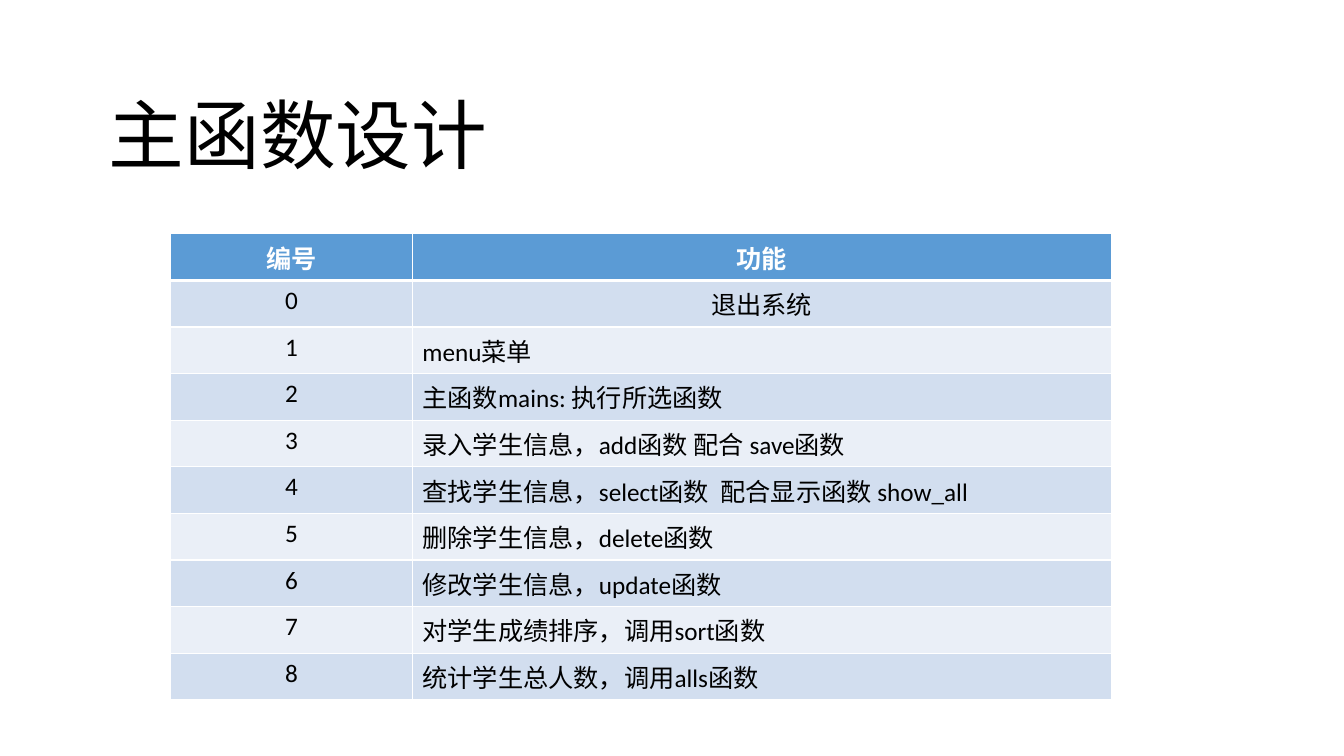
"""Build the slide that lists the functions of the main program."""
import pptx
import pptx.dml.color
import pptx.enum.text
import pptx.oxml
import pptx.oxml.ns
import pptx.util

WIDTH, HEIGHT = 13.33, 7.5
FONT = "Calibri"
HEADER_FILL = "5B9BD5"
BAND_FILLS = ("D2DEEF", "EAEFF7")
COLUMN_WIDTHS = (2.4, 6.93)
ROW_HEIGHT = 0.46
HEADINGS = ("编号", "功能")
FUNCTIONS = (
    "退出系统",
    "menu菜单",
    "主函数mains: 执行所选函数",
    "录入学生信息，add函数 配合 save函数",
    "查找学生信息，select函数  配合显示函数 show_all",
    "删除学生信息，delete函数",
    "修改学生信息，update函数",
    "对学生成绩排序，调用sort函数",
    "统计学生总人数，调用alls函数",
)


def rgb(value):
    """Turn a hex string into a colour."""
    return pptx.dml.color.RGBColor.from_string(value)


def place(sp, left, top, width, height):
    """Position a shape by shares of the slide's size."""
    sp.left = pptx.util.Inches(left * WIDTH)
    sp.top = pptx.util.Inches(top * HEIGHT)
    sp.width = pptx.util.Inches(width * WIDTH)
    sp.height = pptx.util.Inches(height * HEIGHT)


def write(tf, text, size, color, align, bold=False):
    """Put one formatted paragraph into a text frame."""
    p = tf.paragraphs[0]
    p.text = text
    p.alignment = align
    p.font.name = FONT
    p.font.size = pptx.util.Pt(size)
    p.font.bold = bold
    p.font.color.rgb = rgb(color)
    return p


def set_borders(cell, bottom):
    """Draw white borders round a cell, with its own width in points below."""
    tc_pr = cell._tc.get_or_add_tcPr()
    widths = {"lnL": 1, "lnR": 1, "lnT": 1, "lnB": bottom}
    for index, (side, width) in enumerate(widths.items()):
        line = pptx.oxml.parse_xml(
            f'<a:{side} {pptx.oxml.ns.nsdecls("a")} w="{pptx.util.Pt(width)}">'
            f'<a:solidFill><a:srgbClr val="FFFFFF"/></a:solidFill></a:{side}>'
        )
        tc_pr.insert(index, line)


def add_title(slide, text):
    """Fill the title placeholder with left-aligned text."""
    sp = slide.shapes.title
    place(sp, 0.98 / WIDTH, 0.91 / HEIGHT, 10 / WIDTH, 0.92 / HEIGHT)
    sp.text_frame.vertical_anchor = pptx.enum.text.MSO_ANCHOR.BOTTOM
    p = write(sp.text_frame, text, 54, "000000", pptx.enum.text.PP_ALIGN.LEFT)
    p.line_spacing = 0.9


def add_function_table(slide, left, top):
    """Add the banded table of numbers and functions."""
    rows = [HEADINGS] + [(str(n), text) for n, text in enumerate(FUNCTIONS)]
    frame = slide.shapes.add_table(
        len(rows), len(COLUMN_WIDTHS),
        pptx.util.Inches(left), pptx.util.Inches(top),
        pptx.util.Inches(sum(COLUMN_WIDTHS)),
        pptx.util.Inches(ROW_HEIGHT * len(rows)),
    )
    table = frame.table
    for column, width in zip(table.columns, COLUMN_WIDTHS):
        column.width = pptx.util.Inches(width)
    align = pptx.enum.text.PP_ALIGN
    for i, row in enumerate(rows):
        header = i == 0
        for j, text in enumerate(row):
            cell = table.cell(i, j)
            cell.fill.solid()
            cell.fill.fore_color.rgb = rgb(
                HEADER_FILL if header else BAND_FILLS[(i - 1) % 2])
            write(cell.text_frame, text, 18,
                  "FFFFFF" if header else "000000",
                  align.CENTER if j == 0 or i < 2 else align.LEFT, header)
            set_borders(cell, 3 if header else 1)


def main():
    """Build and save the slide."""
    prs = pptx.Presentation()
    prs.slide_width = pptx.util.Inches(WIDTH)
    prs.slide_height = pptx.util.Inches(HEIGHT)
    slide = prs.slides.add_slide(prs.slide_layouts[0])
    subtitle = slide.placeholders[1].element
    subtitle.getparent().remove(subtitle)
    add_title(slide, "主函数设计")
    add_function_table(slide, 1.69, 2.32)
    prs.save("out.pptx")


if __name__ == "__main__":
    main()
